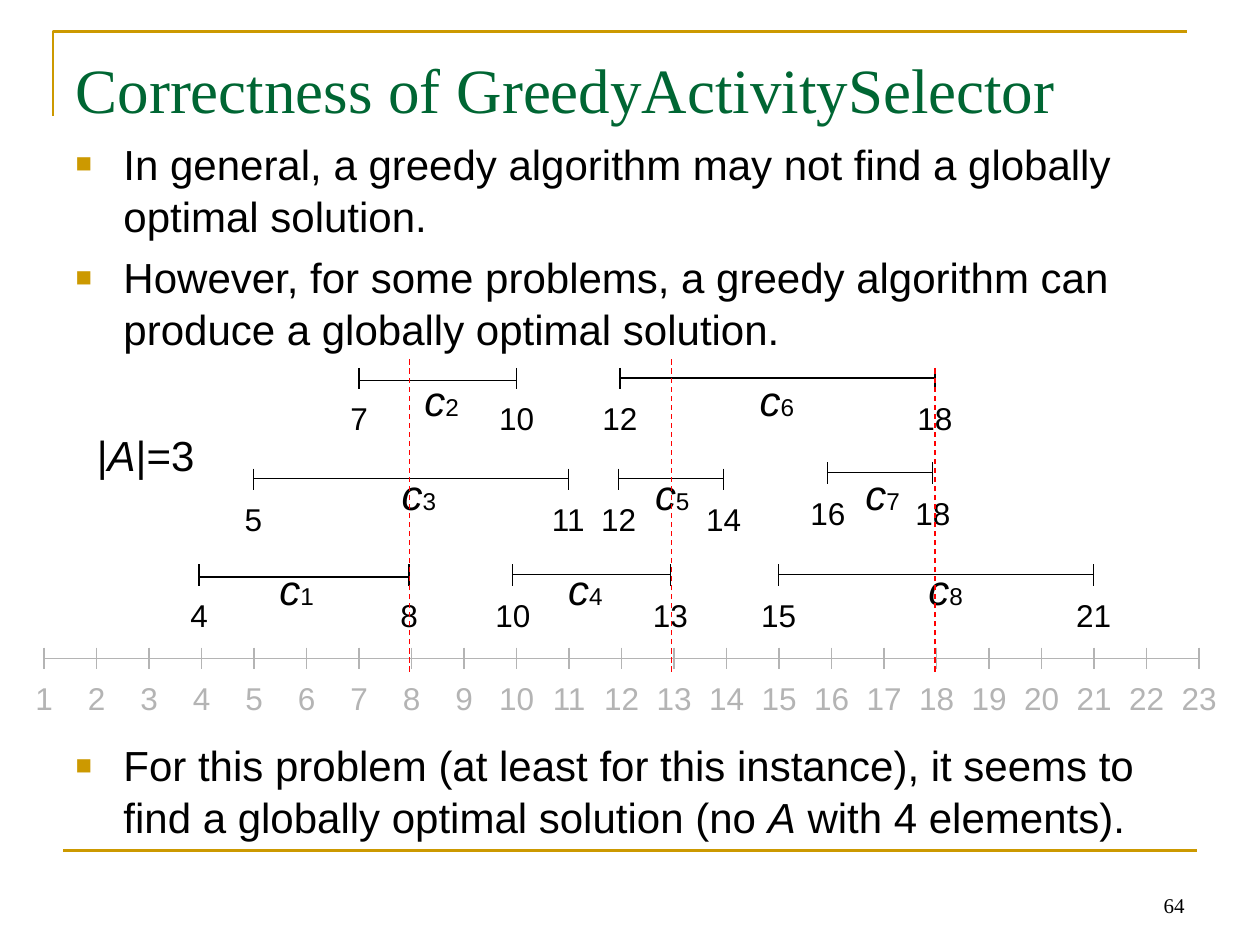
import pptx
import pptx.util
import pptx.dml.color
import pptx.enum.dml
import pptx.enum.shapes
import pptx.enum.text
import pptx.oxml.ns
from lxml import etree

Inches = pptx.util.Inches
Pt = pptx.util.Pt
ALIGN = pptx.enum.text.PP_ALIGN
ANCHOR = pptx.enum.text.MSO_ANCHOR
FIT = pptx.enum.text.MSO_AUTO_SIZE
qn = pptx.oxml.ns.qn

HUES = {"gold": "CC9900", "green": "006633", "black": "000000",
        "gray": "B4B4B4", "red": "FF0101"}
SANS, SERIF = "Arial", "Times New Roman"
UNIT = 2.5 / 6  # inches per time step
TICK = 0.17


def tint(name):
    return pptx.dml.color.RGBColor.from_string(HUES[name])


def add_line(slide, x1, y1, x2, y2, hue, width=0.75, dash=False):
    line = slide.shapes.add_connector(
        pptx.enum.shapes.MSO_CONNECTOR.STRAIGHT,
        Inches(x1), Inches(y1), Inches(x2), Inches(y2))
    line.line.color.rgb = tint(hue)
    line.line.width = Pt(width)
    if dash:
        line.line.dash_style = pptx.enum.dml.MSO_LINE.DASH
    etree.SubElement(line._element.spPr, qn("a:effectLst"))


def add_run(para, text, size, hue="black", face=SANS, italic=False, base=0):
    run = para.add_run()
    run.text = text
    font = run.font
    font.size, font.name, font.italic = Pt(size), face, italic
    font.color.rgb = tint(hue)
    if base:
        run._r.get_or_add_rPr().set("baseline", str(base))


def place(shape, box):
    shape.left, shape.top, shape.width, shape.height = map(Inches, box)


def set_frame(shape, wrap=True, anchor=ANCHOR.TOP, top=0.05):
    frame = shape.text_frame
    frame.word_wrap = wrap
    frame.auto_size = FIT.NONE if wrap else FIT.SHAPE_TO_FIT_TEXT
    frame.vertical_anchor = anchor
    frame.margin_top = Inches(top)
    return frame


def add_text(slide, box, align=ALIGN.CENTER, **style):
    shape = slide.shapes.add_textbox(*map(Inches, box))
    para = set_frame(shape, **style).paragraphs[0]
    para.alignment = align
    return para


def add_mark(slide, x, y, num, hue):
    """Tick at x with its number below."""
    add_line(slide, x, y, x, y + TICK, hue)
    wide = 0.34 if num < 10 else 0.48
    para = add_text(slide, (x - wide / 2, y + 0.2, wide, 0.4), wrap=False)
    add_run(para, str(num), 18, hue)


def add_decor(slide, box):
    """Corner rule, bottom rule and page number."""
    x, y, w, h = box
    pen = slide.shapes.build_freeform(Inches(x), Inches(y + 0.67))
    pen.add_line_segments([(Inches(x), Inches(y)),
                           (Inches(x + w), Inches(y))], close=False)
    rule = pen.convert_to_shape()
    rule.shadow.inherit = False
    rule.fill.background()
    rule.line.color.rgb = tint("gold")
    rule.line.width = Pt(1.5)
    low = y + h
    add_line(slide, x + 0.08, low, x + w + 0.08, low, "gold", 1.5)
    para = add_text(slide, (7.17, low + 0.08, 2.33, 0.5), ALIGN.RIGHT,
                    anchor=ANCHOR.BOTTOM)
    add_run(para, "64", 12, face=SERIF)


def add_title(slide, box):
    shape = slide.shapes.title
    place(shape, box)
    para = set_frame(shape, top=0.1).paragraphs[0]
    para.alignment = ALIGN.LEFT
    add_run(para, "Correctness of GreedyActivitySelector", 36, "green", SERIF)


def add_bullet(para):
    props = para._p.get_or_add_pPr()
    props.set("marL", str(Inches(0.38)))
    props.set("indent", str(-Inches(0.38)))
    color = etree.SubElement(props, qn("a:buClr"))
    etree.SubElement(color, qn("a:srgbClr")).set("val", HUES["gold"])
    etree.SubElement(props, qn("a:buSzPct")).set("val", "65000")
    etree.SubElement(props, qn("a:buFont")).set("typeface", SANS)
    etree.SubElement(props, qn("a:buChar")).set("char", "■")


def add_list(slide, box):
    shape = slide.placeholders[1]
    place(shape, box)
    frame = set_frame(shape, top=0.08)
    # space before in points, then the text pieces; every second is italic
    items = [
        (0, ["In general, a greedy algorithm may not find a globally "
             "optimal solution."]),
        (5, ["However, for some problems, a greedy algorithm can produce "
             "a globally optimal solution."]),
        (219, ["For this problem (at least for this instance), it seems to "
               "find a globally optimal solution (no ", "A",
               " with 4 elements)."]),
    ]
    for k, (gap, parts) in enumerate(items):
        para = frame.add_paragraph() if k else frame.paragraphs[0]
        add_bullet(para)
        para.line_spacing = 1.04
        para.space_before = Pt(gap)
        for j, part in enumerate(parts):
            add_run(para, part, 24, italic=j % 2 == 1)


def add_size(slide, box):
    para = add_text(slide, box, ALIGN.LEFT, top=0.08)
    for text in ("|", "A", "|=3"):
        add_run(para, text, 24, italic=text == "A")


def add_axis(slide, box, last):
    x, y, w, h = box
    add_line(slide, x, y + h / 2, x + w, y + h / 2, "gray")
    for num in range(1, last + 1):
        add_mark(slide, x + (num - 1) * UNIT, y, num, "gray")


def add_spans(slide):
    # index, start, end, left, tick top, bar drop, label left, label top
    spans = [
        (1, 4, 8, 1.58, 4.48, 0.1, 2.11, 4.42),
        (3, 5, 11, 2.01, 3.72, 0.08, 3.08, 3.67),
        (2, 7, 10, 2.85, 2.92, 0.1, 3.26, 2.92),
        (4, 10, 13, 4.07, 4.48, 0.08, 4.4, 4.42),
        (5, 12, 14, 4.91, 3.72, 0.08, 5.09, 3.67),
        (7, 16, 18, 6.57, 3.67, 0.08, 6.76, 3.67),
        (6, 12, 18, 4.92, 2.92, 0.08, 5.92, 2.92),
        (8, 15, 21, 6.18, 4.48, 0.08, 7.26, 4.42),
    ]
    for index, start, end, x, y, drop, left, top in spans:
        right = x + (end - start) * UNIT
        add_line(slide, x, y + drop, right, y + drop, "black")
        add_mark(slide, x, y, start, "black")
        add_mark(slide, right, y, end, "black")
        para = add_text(slide, (left, top, 0.49, 0.5), wrap=False)
        add_run(para, "c", 24, italic=True)
        add_run(para, str(index), 24, base=-25)


def add_cuts(slide, low):
    """Dashed lines at the ends of the chosen activities."""
    for x, top in ((3.25, 2.83), (5.33, 2.83), (7.42, 2.92)):
        add_line(slide, x, low, x, top, "red", dash=True)


def main():
    deck = pptx.Presentation()
    deck.slide_width, deck.slide_height = Inches(10), Inches(7.5)
    slide = deck.slides.add_slide(deck.slide_layouts[1])
    add_decor(slide, (0.42, 0.25, 9, 6.5))
    add_title(slide, (0.5, 0.3, 9, 1.25))
    add_list(slide, (0.5, 1, 9, 4.95))
    add_size(slide, (0.67, 3.33, 1, 0.5))
    add_axis(slide, (0.35, 5.14, 22 * UNIT, TICK), 23)
    add_spans(slide)
    add_cuts(slide, 5.33)
    deck.save("out.pptx")


if __name__ == "__main__":
    main()
